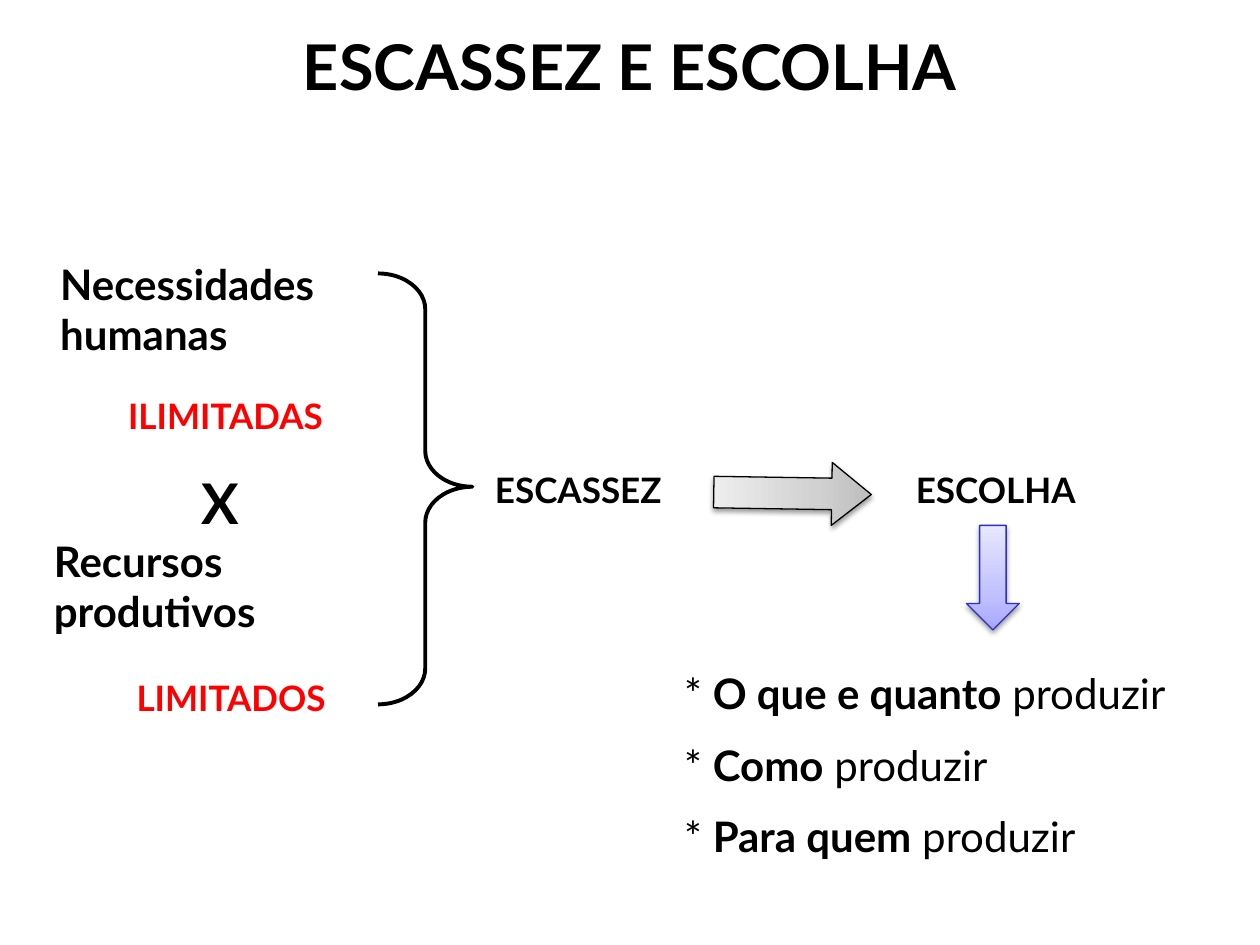
from lxml import etree
from pptx import Presentation
from pptx.dml.color import RGBColor
from pptx.enum.shapes import MSO_SHAPE
from pptx.enum.text import MSO_ANCHOR, MSO_AUTO_SIZE, PP_ALIGN
from pptx.oxml.ns import qn
from pptx.util import Inches, Pt

DOWN_ARROW, RIGHT_BRACE = MSO_SHAPE.DOWN_ARROW, MSO_SHAPE.RIGHT_BRACE
LEFT, CENTER = PP_ALIGN.LEFT, PP_ALIGN.CENTER
TOP, NO_FIT = MSO_ANCHOR.TOP, MSO_AUTO_SIZE.NONE

FONT = "Lato"
COLORS = {"text": "000000", "accent": "FF0000", "line": "000000",
          "blue_line": "2E2ECB", "shadow": "000000"}
BLUES = [(0, "A7A7FF"), (35, "C1C1FF"), (100, "E7E7FF")]
GRAYS = [(0, "BDBDBD"), (35, "D1D1D1"), (100, "EEEEEE")]


def rgb(name):
    return RGBColor.from_string(COLORS[name])


def add_text(p, text, size=20, color="text", bold=True):
    r = p.add_run()
    r.text = text
    r.font.name = FONT
    r.font.size = Pt(size)
    r.font.bold = bold
    r.font.color.rgb = rgb(color)


def sub(parent, tag, **attrs):
    return etree.SubElement(parent, qn(tag), {k: str(v) for k, v in attrs.items()})


class SlideBuilder:
    def __init__(self, slide):
        self.s = slide

    def place(self, sp, box):
        sp.left, sp.top, sp.width, sp.height = map(Inches, box)
        tf = sp.text_frame
        tf.word_wrap = True
        tf.auto_size = NO_FIT
        tf.vertical_anchor = TOP
        return tf

    def title(self, text, box):
        p = self.place(self.s.shapes.title, box).paragraphs[0]
        p.alignment = CENTER
        add_text(p, text, size=36)

    def label(self, text, box, align=LEFT, **fmt):
        tf = self.place(self.s.shapes.add_textbox(0, 0, 0, 0), box)
        p = tf.paragraphs[0]
        p.alignment = align
        add_text(p, text, **fmt)

    def questions(self, items, ending, box):
        tf = self.place(self.s.placeholders[1], box)
        for i, item in enumerate(items):
            p = tf.add_paragraph() if i else tf.paragraphs[0]
            p.space_before = Pt(12 if i else 0)
            pPr = p._p.get_or_add_pPr()
            pPr.set("marL", "0")
            pPr.set("indent", "0")
            sub(pPr, "a:buNone")
            for text, bold in (("* ", False), (item, True), (ending, False)):
                add_text(p, text, size=24, bold=bold)

    def shape(self, kind, box, adjustments, line, width):
        sp = self.s.shapes.add_shape(kind, *map(Inches, box))
        sp.shadow.inherit = False
        for i, value in enumerate(adjustments):
            sp.adjustments[i] = value
        sp.line.color.rgb = rgb(line)
        sp.line.width = Pt(width)
        return sp

    def brace(self, box):
        self.shape(RIGHT_BRACE, box, (0.38, 0.495), "line", 2.25).fill.background()

    def arrow(self, box, stops, line, head=0.5, rotation=0):
        sp = self.shape(DOWN_ARROW, box, (0.5, head), line, 0.75)
        sp.rotation = rotation
        # Three-stop gradient
        sp.fill.gradient()
        sp.fill.gradient_angle = 90
        spPr = sp._element.spPr
        gs_list = spPr.find(".//" + qn("a:gsLst"))
        for gs in list(gs_list):
            gs_list.remove(gs)
        for pos, color in stops:
            sub(sub(gs_list, "a:gs", pos=pos * 1000), "a:srgbClr", val=color)
        # Soft shadow below
        shadow = sub(spPr.find(qn("a:effectLst")), "a:outerShdw", blurRad=Pt(3.1),
                     dist=Pt(1.6), dir=90 * 60000, rotWithShape=0)
        sub(sub(shadow, "a:srgbClr", val=COLORS["shadow"]), "a:alpha", val=38000)


def main():
    prs = Presentation()
    prs.slide_width, prs.slide_height = Inches(10), Inches(7.5)
    s = SlideBuilder(prs.slides.add_slide(prs.slide_layouts[1]))
    s.title("ESCASSEZ E ESCOLHA", (0.5, 0.17, 9, 1.25))

    # Needs against resources
    s.label("Necessidades humanas", (0.38, 2, 3, 0.91), size=24)
    s.label("ILIMITADAS", (0.58, 3.08, 2.42, 0.43), CENTER, color="accent")
    s.label("X", (0.83, 3.67, 1.83, 0.63), CENTER, size=32)
    s.label("Recursos produtivos", (0.33, 4.2, 2.83, 0.91), size=24)
    s.label("LIMITADOS", (0.75, 5.32, 2.17, 0.43), CENTER, color="accent")
    s.brace((3, 2.17, 0.75, 3.42))

    # Scarcity leads to choice
    for text, left in (("ESCASSEZ", 3.83), ("ESCOLHA", 7.17)):
        s.label(text, (left, 3.67, 1.67, 0.43))
    s.arrow((7.67, 4.17, 0.42, 0.83), BLUES, "blue_line")
    s.arrow((6.04, 3.29, 0.5, 1.25), GRAYS, "line", head=0.627, rotation=270.9)

    # Questions to answer
    s.questions(["O que e quanto", "Como", "Para quem"], " produzir",
                (5.33, 5.25, 4.42, 1.72))
    prs.save("out.pptx")


if __name__ == "__main__":
    main()
